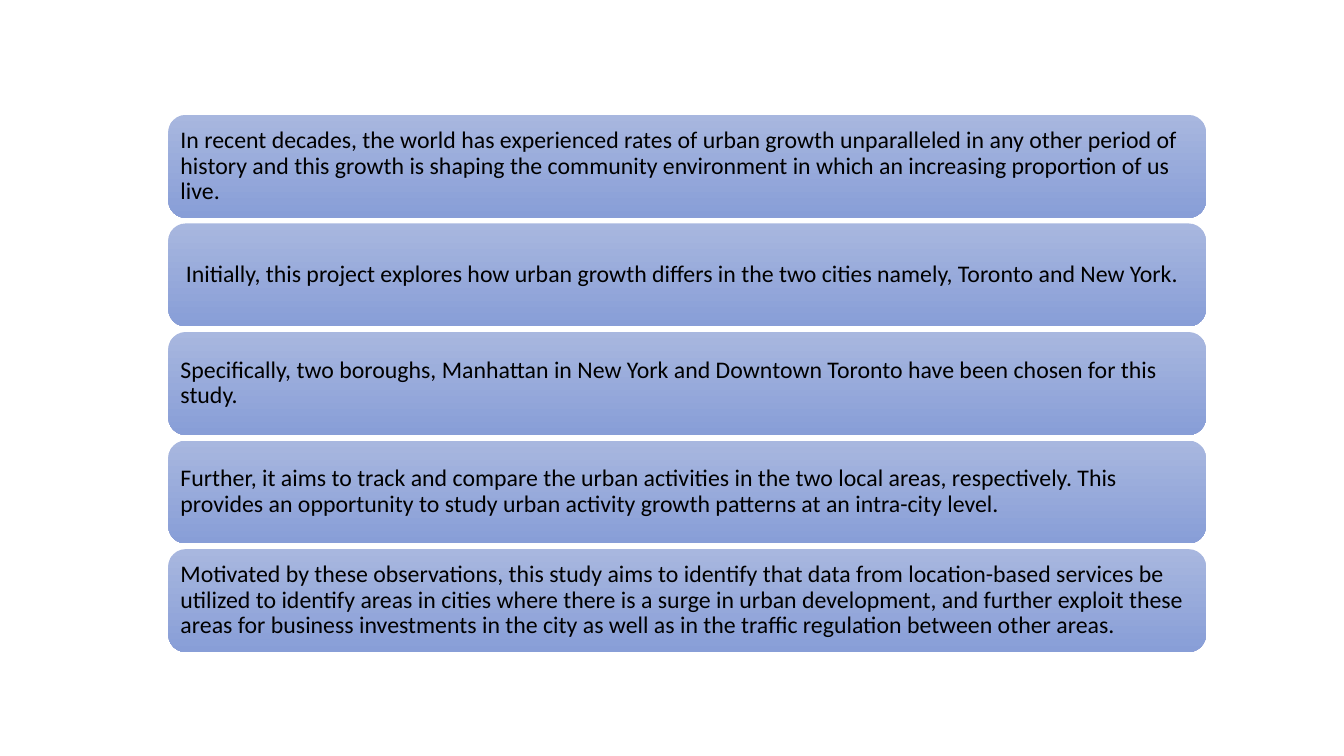
import pptx
import pptx.util
import pptx.dml.color
import pptx.enum.shapes
import pptx.enum.text

Inches, Pt = pptx.util.Inches, pptx.util.Pt
RGB = pptx.dml.color.RGBColor.from_string

COLORS = {"top": "A8B7DF", "bottom": "889ED7", "text": "000000"}

# Grid: one column of equal bars
LEFT, TOP, WIDTH, HEIGHT = 1.67, 1.14, 10.29, 1.02
PITCH = 1.077
INSET = Inches(0.07)

statements = [
    "In recent decades, the world has experienced rates of urban growth "
    "unparalleled in any other period of history and this growth is shaping "
    "the community environment in which an increasing proportion of us live.",
    " Initially, this project explores how urban growth differs in the two "
    "cities namely, Toronto and New York. ",
    "Specifically, two boroughs, Manhattan in New York and Downtown Toronto "
    "have been chosen for this study. ",
    "Further, it aims to track and compare the urban activities in the two "
    "local areas, respectively. This provides an opportunity to study urban "
    "activity growth patterns at an intra-city level. ",
    "Motivated by these observations, this study aims to identify that data "
    "from location-based services be utilized to identify areas in cities "
    "where there is a surge in urban development, and further exploit these "
    "areas for business investments in the city as well as in the traffic "
    "regulation between other areas.",
]

prs = pptx.Presentation()
prs.slide_width, prs.slide_height = Inches(13.33), Inches(7.5)
s = prs.slides.add_slide(prs.slide_layouts[6])

for row, statement in enumerate(statements):
    # Bar with a vertical gradient
    sp = s.shapes.add_shape(
        pptx.enum.shapes.MSO_SHAPE.ROUNDED_RECTANGLE,
        Inches(LEFT), Inches(TOP + row * PITCH), Inches(WIDTH), Inches(HEIGHT))
    sp.shadow.inherit = False
    sp.line.fill.background()
    sp.fill.gradient()
    sp.fill.gradient_angle = 270
    for stop, name in zip(sp.fill.gradient_stops, ("top", "bottom")):
        stop.color.rgb = RGB(COLORS[name])

    # Statement inside the bar
    tf = sp.text_frame
    tf.word_wrap = True
    tf.vertical_anchor = pptx.enum.text.MSO_ANCHOR.MIDDLE
    tf.margin_left = tf.margin_right = tf.margin_top = tf.margin_bottom = INSET
    tf.text = statement
    p = tf.paragraphs[0]
    p.alignment = pptx.enum.text.PP_ALIGN.LEFT
    p.line_spacing = 0.9
    r = p.runs[0]
    r.font.name, r.font.size = "Calibri", Pt(17)
    r.font.color.rgb = RGB(COLORS["text"])

prs.save("out.pptx")
